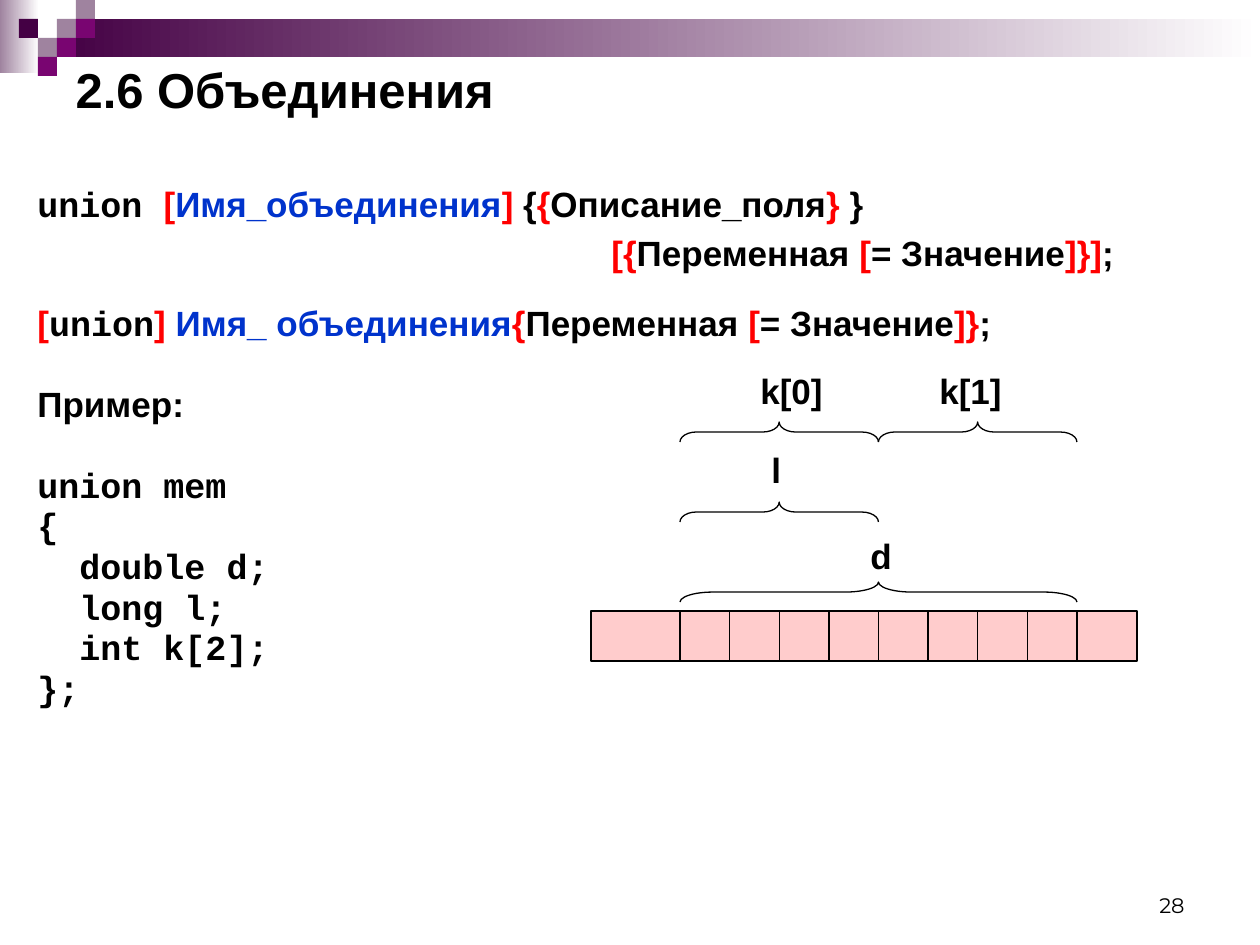
from pptx import Presentation
from pptx import util as u
from pptx.dml.color import RGBColor
from pptx.enum import shapes, text
from pptx.oxml.ns import qn
from lxml import etree

SCALE = 914400 / 126
BLACK, RED, BLUE = "000000", "FF0000", "0033CC"
DARK, MID, PALE, WHITE = "440044", "790571", "9F839F", "FFFFFF"
SANS, MONO = "Arial", "Courier New"


def px(n):
    return u.Emu(round(n * SCALE))


def rgb(code):
    return RGBColor.from_string(code)


class Deck:
    def __init__(self):
        self.prs = Presentation()
        self.prs.slide_width, self.prs.slide_height = px(1260), px(945)
        self.slide = self.prs.slides.add_slide(self.prs.slide_layouts[5])
        self.items = self.slide.shapes

    def font(self, item, size=20, name=SANS, color=BLACK, bold=True):
        f = item.font
        f.size, f.name, f.bold = u.Pt(size), name, bold
        f.color.rgb = rgb(color)

    def title(self, words, x, y, w, h):
        box = self.items.title
        box.left, box.top, box.width, box.height = map(px, (x, y, w, h))
        frame = box.text_frame
        frame.text = words
        frame.auto_size = text.MSO_AUTO_SIZE.NONE
        frame.vertical_anchor = text.MSO_ANCHOR.MIDDLE
        para = frame.paragraphs[0]
        para.alignment = text.PP_ALIGN.LEFT
        self.font(para, 28)

    def frame(self, x, y, w, h, wrap=True):
        frame = self.items.add_textbox(*map(px, (x, y, w, h))).text_frame
        frame.word_wrap = wrap
        return frame

    def label(self, words, x, y, w):
        frame = self.frame(x, y, w, 54, wrap=False)
        frame.auto_size = text.MSO_AUTO_SIZE.SHAPE_TO_FIT_TEXT
        frame.text = words
        self.font(frame.paragraphs[0])

    def number(self, words, x, y, w, h):
        frame = self.frame(x, y, w, h)
        frame.text = words
        frame.vertical_anchor = text.MSO_ANCHOR.BOTTOM
        para = frame.paragraphs[0]
        para.alignment = text.PP_ALIGN.RIGHT
        self.font(para, 12, "Montserrat", bold=False)

    def body(self, rows, x, y, w, h):
        frame = self.frame(x, y, w, h)
        for i, (runs, space, before, indent) in enumerate(rows):
            para = frame.add_paragraph() if i else frame.paragraphs[0]
            para.line_spacing, para.space_before = space, u.Pt(before)
            if indent:
                para._p.get_or_add_pPr().set("marL", str(px(indent)))
            for words, color, name in runs:
                run = para.add_run()
                run.text = words
                self.font(run, name=name, color=color)

    def rect(self, x, y, w, h, fill, fade=None, line=None):
        box = self.items.add_shape(shapes.MSO_SHAPE.RECTANGLE, *map(px, (x, y, w, h)))
        box.shadow.inherit = False
        if fade:
            box.fill.gradient()
            box.fill.gradient_angle = 0
            for stop, color in zip(box.fill.gradient_stops, (fill, fade)):
                stop.color.rgb = rgb(color)
        else:
            box.fill.solid()
            box.fill.fore_color.rgb = rgb(fill)
        if line:
            self.pen(box, line)
        else:
            box.line.fill.background()

    def pen(self, item, color=BLACK):
        item.line.color.rgb = rgb(color)
        item.line.width = u.Pt(0.75)

    def rule(self, x, top, end):
        line = self.items.add_connector(
            shapes.MSO_CONNECTOR.STRAIGHT, px(x), px(top), px(x), px(end))
        etree.SubElement(line._element.spPr, qn("a:effectLst"))
        self.pen(line)

    def brace(self, x, y, span, curl, deep=20):
        """Right brace turned to lie over a span, with its tip up."""
        mid, axis = x + span / 2, y + deep / 2
        item = self.items.add_shape(
            shapes.MSO_SHAPE.RIGHT_BRACE,
            *map(px, (mid - deep / 2, axis - span / 2, deep, span)))
        item.rotation = 270
        item.adjustments[0], item.adjustments[1] = curl, 0.5
        item.shadow.inherit = False
        item.fill.background()
        self.pen(item)


def red(words):
    return words, RED, SANS


def blue(words):
    return words, BLUE, SANS


def plain(words):
    return words, BLACK, SANS


def code(words):
    return words, BLACK, MONO


def main():
    deck = Deck()

    # Corner ornament: fading bars and a grid of squares
    deck.rect(0, 0, 39, 73, PALE, fade=WHITE)
    deck.rect(57, 19, 1203, 38, DARK, fade=WHITE)
    unit = 19
    for col, row, color in [(3, 1, PALE), (4, 0, PALE), (4, 1, MID), (2, 2, PALE),
                            (1, 1, DARK), (3, 2, MID), (2, 3, MID)]:
        deck.rect(col * unit, row * unit, unit, unit, color)

    deck.number("28", 903, 861, 294, 63)
    deck.title("2.6 Объединения", 63, 63, 1134, 52)

    # Syntax and example: runs, line spacing, space before, indent
    value = [plain("Переменная "), red("["), plain("= Значение")]
    rows = [
        ([code("union "), red("["), blue("Имя_объединения"), red("] "), plain("{"),
          red("{"), plain("Описание_поля"), red("} "), plain("}")], 1.5, 4, 0),
        ([red("[{"), *value, red("]}]"), plain(";")], 1, 4, 574),
        ([red("["), code("union"), red("] "), blue("Имя_ объединения"), red("{"),
          *value, red("]}"), plain(";")], 1.5, 4, 0),
        ([plain("Пример:")], 0.8, 27, 0),
        ([code("union mem")], 0.8, 27, 0),
    ]
    for words, indent in [("{", 0), ("double d;", 42), ("long l;", 42),
                          ("int k[2];", 42), ("};", 0)]:
        rows.append(([code(words)], 0.8, 4, indent))
    deck.body(rows, 25, 155, 1235, 607)

    # Memory strip with eight byte cells
    left, span, top = 680, 397, 611
    deck.rect(591, top, 546, 50, "FFCCCC", line=BLACK)
    for i in range(9):
        deck.rule(left + i * span / 8, top, top + 50)

    # Braces over the bytes of each field
    half = span / 2
    deck.brace(left, 582, span, 1.66)
    for x, y in [(left, 502), (left, 422), (left + half, 422)]:
        deck.brace(x, y, half, 0.83)

    # Field names
    for words, x, y, w in [("d", 858, 528, 47), ("l", 759, 442, 35),
                           ("k[0]", 748, 363, 90), ("k[1]", 927, 363, 90)]:
        deck.label(words, x, y, w)

    deck.prs.save("out.pptx")


if __name__ == "__main__":
    main()
